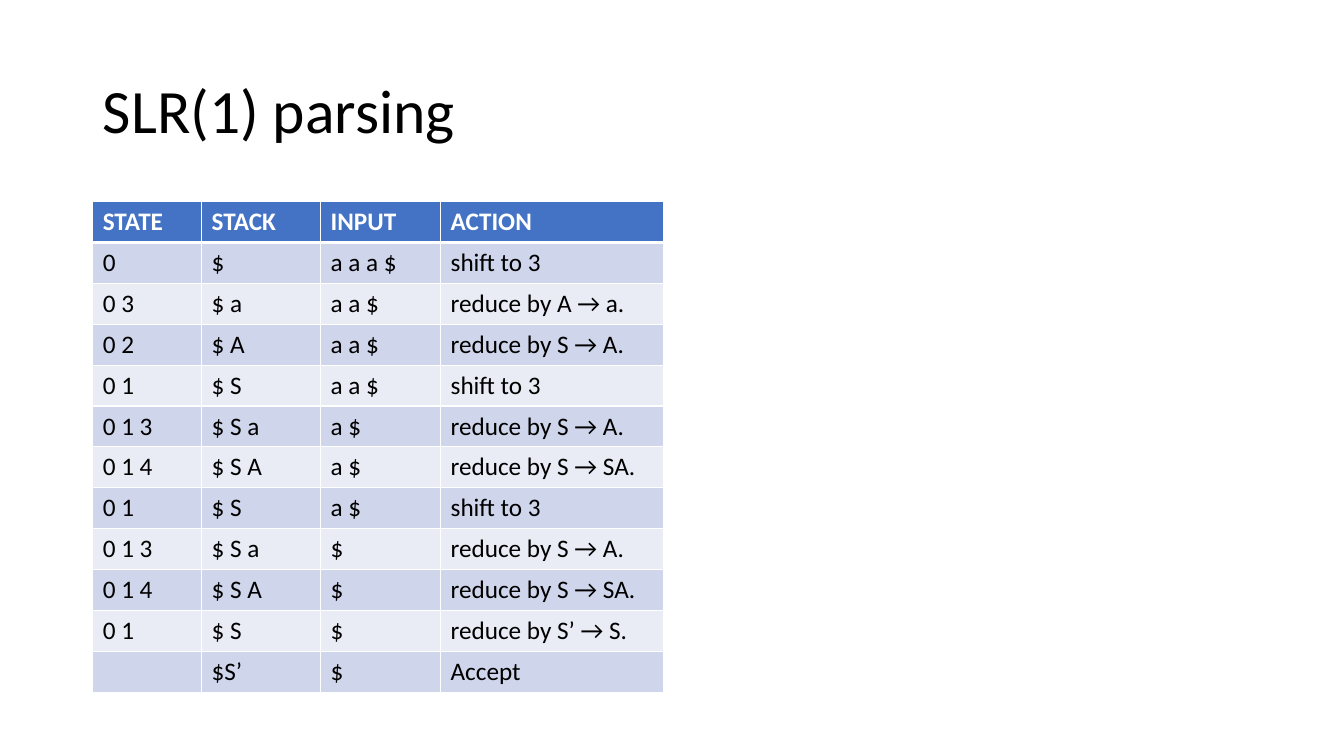
from lxml.etree import SubElement
from pptx import Presentation
from pptx.dml.color import RGBColor
from pptx.enum.text import MSO_ANCHOR, PP_ALIGN
from pptx.oxml.ns import qn
from pptx.util import Inches, Pt

FONT = "Calibri"
BLACK = RGBColor(0x00, 0x00, 0x00)
WHITE = RGBColor(0xFF, 0xFF, 0xFF)
HEADER_BLUE = RGBColor(0x44, 0x72, 0xC4)
DARK_BAND = RGBColor(0xCF, 0xD5, 0xEA)
LIGHT_BAND = RGBColor(0xE9, 0xEB, 0xF5)

COLUMN_WIDTHS = [1.08, 1.18, 1.19, 2.21]
ROW_HEIGHT = 4.87 / 12
PARSE_STEPS = [
    ("STATE", "STACK", "INPUT", "ACTION"),
    ("0", "$", "a a a $", "shift to 3"),
    ("0 3", "$ a", "a a $", "reduce by A → a."),
    ("0 2", "$ A", "a a $", "reduce by S → A."),
    ("0 1", "$ S", "a a $", "shift to 3"),
    ("0 1 3", "$ S a", "a $", "reduce by S → A."),
    ("0 1 4", "$ S A", "a $", "reduce by S → SA."),
    ("0 1", "$ S", "a $", "shift to 3"),
    ("0 1 3", "$ S a", "$", "reduce by S → A."),
    ("0 1 4", "$ S A", "$", "reduce by S → SA."),
    ("0 1", "$ S", "$", "reduce by S’ → S."),
    ("", "$S’", "$", "Accept"),
]


def format_paragraph(paragraph, size, color, bold=False):
    paragraph.font.name = FONT
    paragraph.font.size = Pt(size)
    paragraph.font.color.rgb = color
    paragraph.font.bold = bold


def set_title(slide, text):
    title = slide.shapes.title
    title.left, title.top = Inches(0.92), Inches(0.4)
    title.width, title.height = Inches(11.5), Inches(1.45)
    title.text_frame.text = text
    title.text_frame.vertical_anchor = MSO_ANCHOR.MIDDLE
    heading = title.text_frame.paragraphs[0]
    heading.alignment = PP_ALIGN.LEFT
    heading.line_spacing = 0.9
    format_paragraph(heading, 44, BLACK)


def set_borders(cell, top, bottom):
    properties = cell._tc.get_or_add_tcPr()
    for side, width in (("L", 1), ("R", 1), ("T", top), ("B", bottom)):
        border = SubElement(properties, qn(f"a:ln{side}"), w=str(Pt(width)))
        fill = SubElement(border, qn("a:solidFill"))
        SubElement(fill, qn("a:srgbClr"), val=str(WHITE))


def fill_cell(cell, text, row):
    is_header = row == 0
    set_borders(cell, top=3 if row == 1 else 1, bottom=3 if is_header else 1)
    cell.fill.solid()
    band = DARK_BAND if row % 2 else LIGHT_BAND
    cell.fill.fore_color.rgb = HEADER_BLUE if is_header else band
    cell.text = text
    format_paragraph(cell.text_frame.paragraphs[0], 18,
                     WHITE if is_header else BLACK, is_header)


def add_parse_table(slide):
    table = slide.shapes.add_table(
        len(PARSE_STEPS), len(COLUMN_WIDTHS), Inches(0.92), Inches(2),
        Inches(sum(COLUMN_WIDTHS)), Inches(ROW_HEIGHT * len(PARSE_STEPS))).table
    for column, width in zip(table.columns, COLUMN_WIDTHS):
        column.width = Inches(width)
    for row, step in enumerate(PARSE_STEPS):
        table.rows[row].height = Inches(ROW_HEIGHT)
        for column, text in enumerate(step):
            fill_cell(table.cell(row, column), text, row)


def main():
    presentation = Presentation()
    presentation.slide_width = Inches(13.33)
    presentation.slide_height = Inches(7.5)
    slide = presentation.slides.add_slide(presentation.slide_layouts[5])
    set_title(slide, "SLR(1) parsing")
    add_parse_table(slide)
    presentation.save("out.pptx")


if __name__ == "__main__":
    main()
